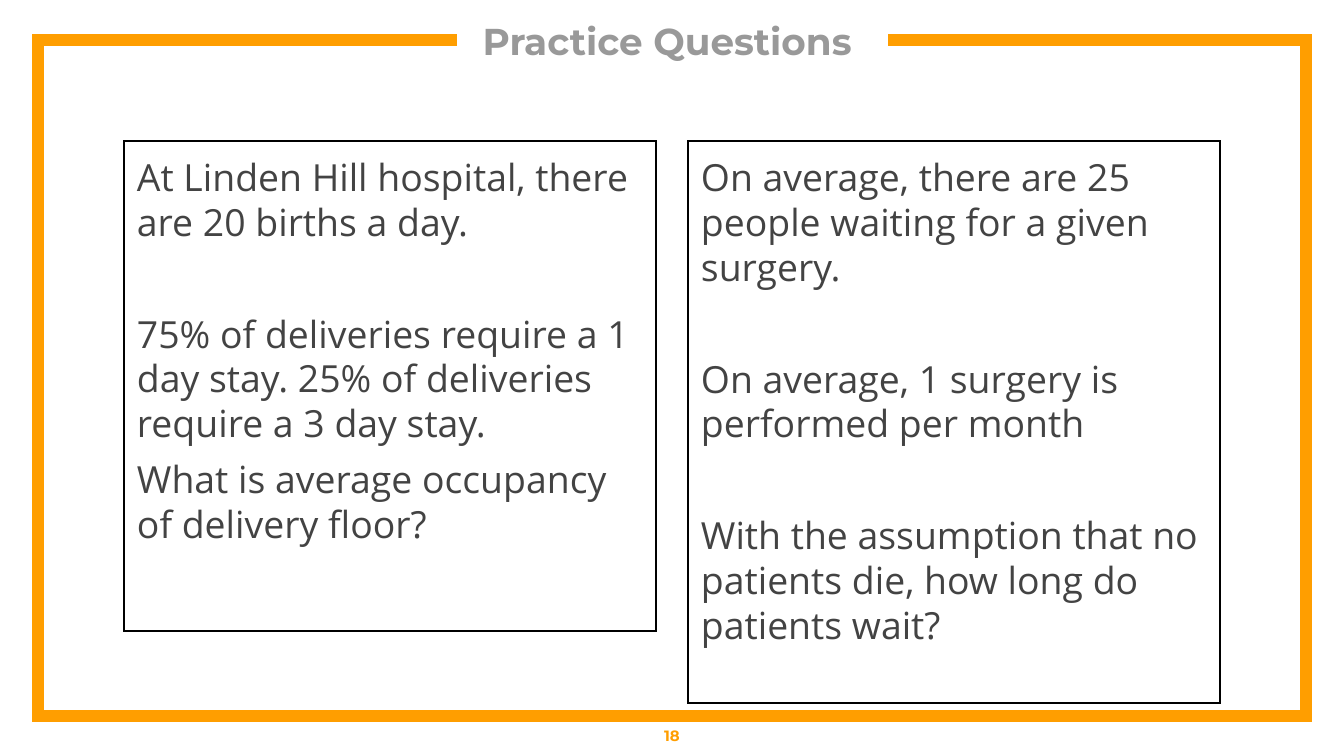
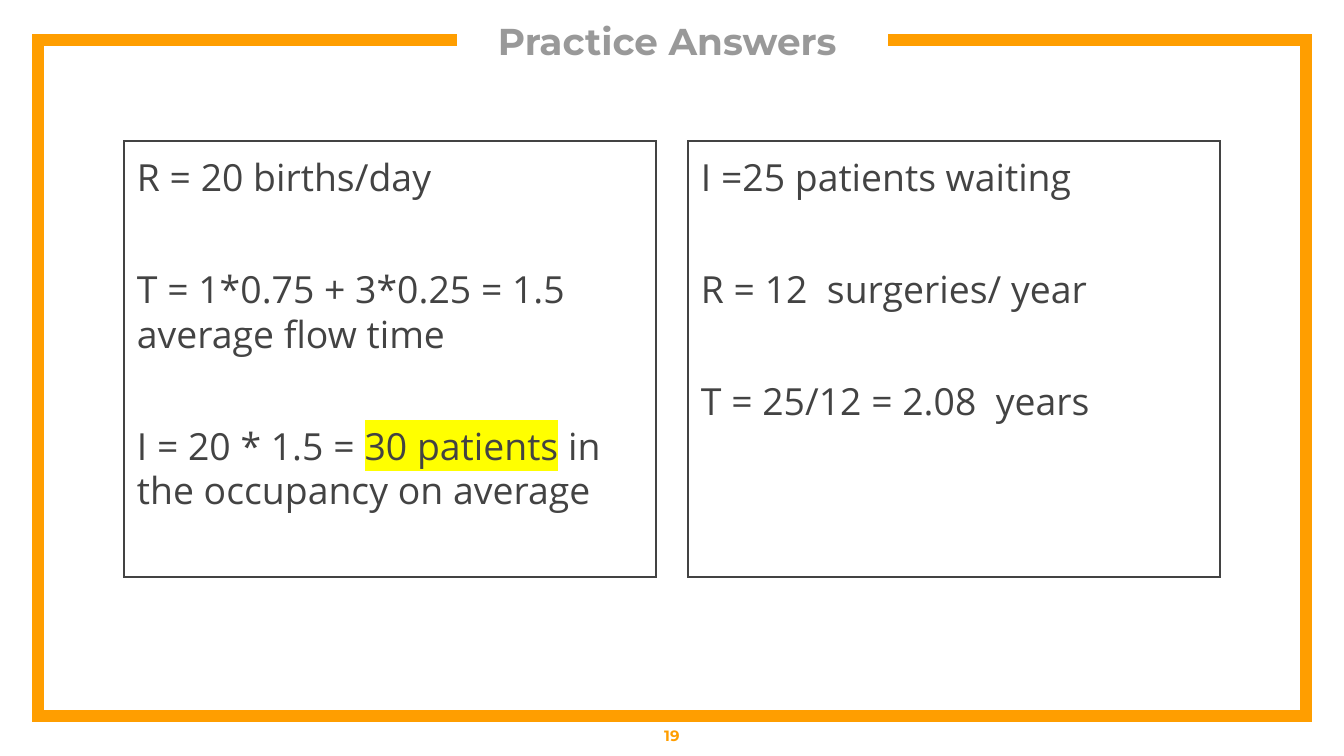
from dataclasses import dataclass

from lxml.etree import SubElement
from pptx import Presentation
from pptx.dml.color import RGBColor
from pptx.enum.shapes import MSO_SHAPE as SHAPE
from pptx.enum.text import MSO_ANCHOR as ANCHOR, PP_ALIGN as ALIGN
from pptx.oxml.ns import qn
from pptx.util import Emu, Pt

NEAR, FAR = 6, 36

SLIDES = [
    {
        "title": "Practice Questions ",
        "number": "18",
        "border": "000000",
        "cards": [
            (490, [
                (NEAR, ["At Linden Hill hospital, there are 20 births a day."]),
                (FAR, ["75% of deliveries require a 1 day stay. "
                       "25% of deliveries require a 3 day stay."]),
                (NEAR, ["What is average occupancy of delivery floor?"]),
            ]),
            (562, [
                (NEAR, ["On average, there are 25 people waiting for a given surgery."]),
                (FAR, ["On average, 1 surgery is performed per month"]),
                (FAR, ["With the assumption that no patients die, "
                       "how long do patients wait?"]),
            ]),
        ],
    },
    {
        "title": "Practice Answers ",
        "number": "19",
        "border": "434343",
        "cards": [
            (436, [
                (NEAR, ["R = 20 births/day"]),
                (FAR, ["T = 1*0.75 + 3*0.25 = 1.5 average flow time"]),
                (FAR, ["I = 20 * 1.5 = ", ("30 patients",),
                       " in the occupancy on average"]),
            ]),
            (436, [
                (NEAR, ["I =25 patients waiting"]),
                (FAR, ["R = 12  surgeries/ year"]),
                (FAR, ["T = 25/12 = 2.08  years"]),
            ]),
        ],
    },
]


@dataclass(frozen=True)
class Theme:
    accent: str = "FF9E00"
    heading: str = "999999"
    body: str = "434343"
    marker: str = "FFFF00"
    heading_font: str = "Montserrat"
    body_font: str = "Open Sans"
    text_size: int = 20
    number_size: int = 8
    frame_width: float = 6
    border_width: float = 0.75


T = Theme()
SCALE = 914400 / 134.4
WIDTH, HEIGHT = 1344, 756
FRAME = [(457, 40), (38, 40), (38, 716), (1306, 716), (1306, 40), (888, 40)]
TITLE_BOX = (477, 15, 391, 52)
NUMBER_BOX = (0, 716, WIDTH, 40)
CARD_LEFT, CARD_TOP, CARD_WIDTH, CARD_GAP = 124, 141, 532, 32
INSET = 13


def px(n):
    return Emu(round(n * SCALE))


def rgb(color):
    return RGBColor.from_string(color)


def add_run(p, text, font, size, color, bold=False, marker=None):
    r = p.add_run()
    r.text = text
    r.font.size = Pt(size)
    r.font.bold = bold
    r.font.color.rgb = rgb(color)
    if marker:
        highlight = SubElement(r._r.get_or_add_rPr(), qn("a:highlight"))
        SubElement(highlight, qn("a:srgbClr"), val=marker)
    r.font.name = font


def set_frame(tf, inset, anchor):
    tf.word_wrap = True
    tf.margin_left = tf.margin_right = tf.margin_top = tf.margin_bottom = px(inset)
    tf.vertical_anchor = anchor


def add_label(s, box, text, inset, size, color):
    tf = s.shapes.add_textbox(*map(px, box)).text_frame
    set_frame(tf, inset, ANCHOR.MIDDLE)
    p = tf.paragraphs[0]
    p.alignment = ALIGN.CENTER
    add_run(p, text, T.heading_font, size, color, bold=True)


def outline(sp, color, width):
    sp.shadow.inherit = False
    sp.fill.background()
    sp.line.color.rgb = rgb(color)
    sp.line.width = Pt(width)
    SubElement(sp.line._get_or_add_ln(), qn("a:miter"), lim="800000")


def add_frame(s):
    builder = s.shapes.build_freeform(*FRAME[0], scale=SCALE)
    builder.add_line_segments(FRAME[1:], close=False)
    outline(builder.convert_to_shape(), T.accent, T.frame_width)


def add_card(s, column, height, border, paragraphs):
    left = CARD_LEFT + column * (CARD_WIDTH + CARD_GAP)
    sp = s.shapes.add_shape(SHAPE.RECTANGLE,
                            *map(px, (left, CARD_TOP, CARD_WIDTH, height)))
    outline(sp, border, T.border_width)
    tf = sp.text_frame
    set_frame(tf, INSET, ANCHOR.TOP)
    for i, (space, runs) in enumerate(paragraphs):
        p = tf.add_paragraph() if i else tf.paragraphs[0]
        p.alignment = ALIGN.LEFT
        p.space_before = Pt(space if i else 0)
        for run in runs:
            marked = isinstance(run, tuple)
            add_run(p, run[0] if marked else run, T.body_font, T.text_size,
                    T.body, marker=T.marker if marked else None)


def main():
    prs = Presentation()
    prs.slide_width, prs.slide_height = px(WIDTH), px(HEIGHT)
    for content in SLIDES:
        s = prs.slides.add_slide(prs.slide_layouts[6])
        add_frame(s)
        add_label(s, TITLE_BOX, content["title"], 0, T.text_size, T.heading)
        for column, (height, paragraphs) in enumerate(content["cards"]):
            add_card(s, column, height, content["border"], paragraphs)
        add_label(s, NUMBER_BOX, content["number"], INSET, T.number_size, T.accent)
    prs.save("out.pptx")


if __name__ == "__main__":
    main()
